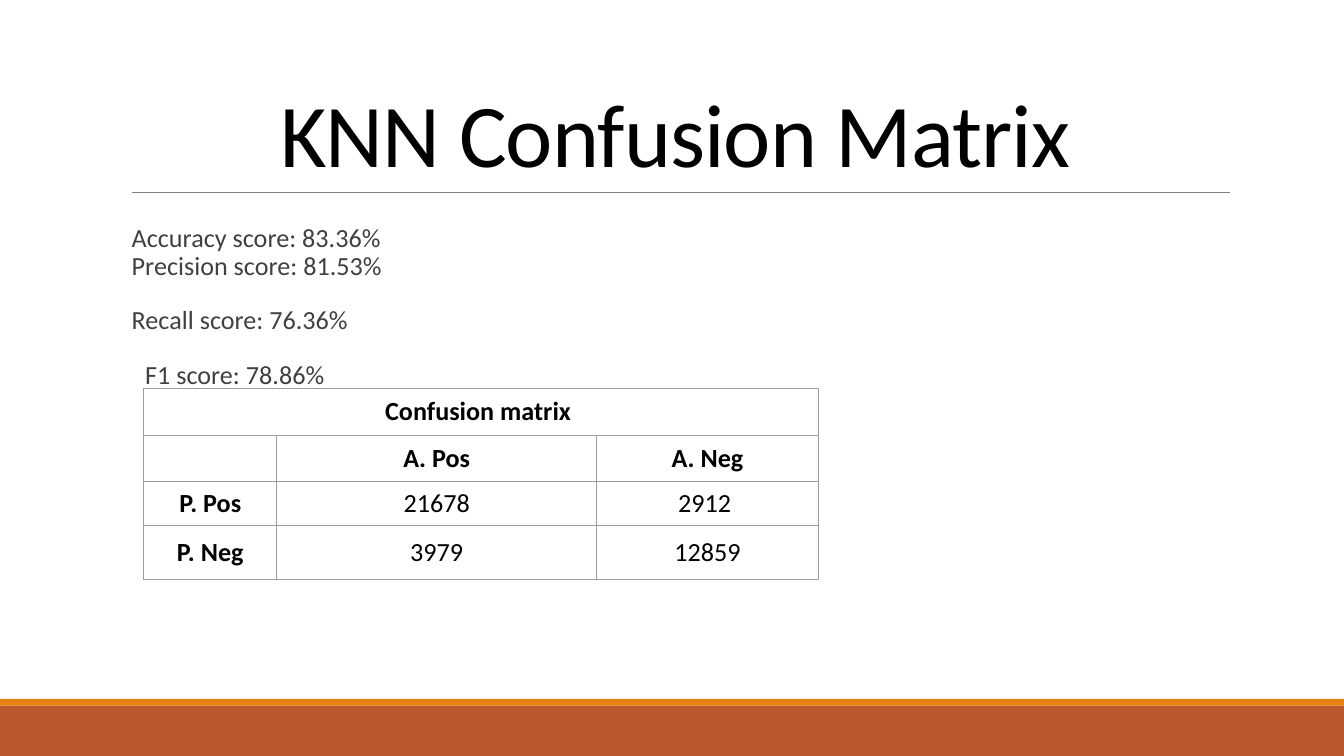
from lxml import etree
from pptx import Presentation
from pptx.dml.color import RGBColor
from pptx.enum.shapes import MSO_CONNECTOR, MSO_SHAPE
from pptx.enum.text import MSO_ANCHOR, MSO_AUTO_SIZE, PP_ALIGN
from pptx.oxml.ns import qn
from pptx.util import Inches, Pt

RECT = MSO_SHAPE.RECTANGLE
LINE = MSO_CONNECTOR.STRAIGHT
CENTER, LEFT = PP_ALIGN.CENTER, PP_ALIGN.LEFT
TOP, MIDDLE, BOTTOM = MSO_ANCHOR.TOP, MSO_ANCHOR.MIDDLE, MSO_ANCHOR.BOTTOM
NO_FIT = MSO_AUTO_SIZE.NONE

RUST = RGBColor(0xBD, 0x58, 0x2C)
ORANGE = RGBColor(0xE4, 0x83, 0x12)
GRAY = RGBColor(0x80, 0x80, 0x80)
DARK = RGBColor(0x40, 0x40, 0x40)
BLACK = RGBColor(0, 0, 0)
BORDER = RGBColor(0x9E, 0x9E, 0x9E)

FONT = "Calibri"
SCORES = [
    ("Accuracy score: 83.36%\vPrecision score: 81.53%", 0),
    ("Recall score: 76.36%", 0),
    ("F1 score: 78.86%", 0.1),
]
MATRIX = [
    ["Confusion matrix ", "", ""],
    ["", "A. Pos", "A. Neg"],
    ["P. Pos", "21678", "2912 "],
    ["P. Neg", "3979", "12859"],
]
COLS = [0.99, 2.38, 1.65]
ROWS = [0.35, 0.34, 0.33, 0.4]


def place(shape, box):
    shape.left, shape.top, shape.width, shape.height = map(Inches, box)


def style(para, size, color, bold=False):
    for run in para.runs:
        font = run.font
        font.name, font.size, font.bold = FONT, Pt(size), bold
        font.color.rgb = color


def add_band(slide, box, color):
    band = slide.shapes.add_shape(RECT, *map(Inches, box))
    band.shadow.inherit = False
    band.fill.solid()
    band.fill.fore_color.rgb = color
    band.line.fill.background()


def add_footer(slide, box):
    left, top, width, height = box
    strip = 0.05
    add_band(slide, (left, top + strip, width, height - strip), RUST)
    add_band(slide, (left, top, width, strip), ORANGE)


def add_rule(slide, left, top, width):
    ends = map(Inches, (left, top, left + width, top))
    rule = slide.shapes.add_connector(LINE, *ends)
    rule.line.color.rgb = GRAY
    rule.line.width = Pt(0.5)
    etree.SubElement(rule._element.spPr, qn("a:effectLst"))


def add_title(slide, box):
    title = slide.shapes.title
    place(title, box)
    frame = title.text_frame
    frame.text = "KNN Confusion Matrix"
    frame.auto_size = NO_FIT
    frame.vertical_anchor = BOTTOM
    para = frame.paragraphs[0]
    para.alignment = CENTER
    para.line_spacing = 0.85
    style(para, 48, BLACK)
    para.runs[0].font._element.set("spc", "-50")


def add_scores(slide, box):
    body = slide.placeholders[1]
    place(body, box)
    frame = body.text_frame
    frame.text = "\n".join(text for text, _ in SCORES)
    frame.auto_size = NO_FIT
    frame.vertical_anchor = TOP
    frame.margin_left = frame.margin_right = 0
    for i, (para, (_, indent)) in enumerate(zip(frame.paragraphs, SCORES)):
        para.alignment = LEFT
        para.line_spacing = 0.9
        para.space_before = Pt(12 if i else 0)
        para.space_after = Pt(2)
        props = para._p.get_or_add_pPr()
        props.set("marL", str(Inches(indent)))
        props.set("indent", "0")
        etree.SubElement(props, qn("a:buNone"))
        style(para, 14, DARK)


def add_border(cell):
    props = cell._tc.get_or_add_tcPr()
    for i, side in enumerate(("lnL", "lnR", "lnT", "lnB")):
        line = etree.Element(qn("a:" + side), w=str(Pt(0.75)))
        fill = etree.SubElement(line, qn("a:solidFill"))
        etree.SubElement(fill, qn("a:srgbClr"), val=str(BORDER))
        props.insert(i, line)


def add_matrix(slide, left, top):
    box = (left, top, sum(COLS), sum(ROWS))
    frame = slide.shapes.add_table(len(ROWS), len(COLS), *map(Inches, box))
    table = frame.table
    for col, width in zip(table.columns, COLS):
        col.width = Inches(width)
    for row, height in zip(table.rows, ROWS):
        row.height = Inches(height)
    for r, row in enumerate(MATRIX):
        for c, text in enumerate(row):
            cell = table.cell(r, c)
            cell.text = text
            cell.vertical_anchor = MIDDLE
            cell.margin_top = cell.margin_bottom = Inches(0.04)
            cell.fill.background()
            add_border(cell)
            para = cell.text_frame.paragraphs[0]
            para.alignment = CENTER
            para.font.size = Pt(14)
            style(para, 14, BLACK, r < 2 or c == 0)
    table.cell(0, 0).merge(table.cell(0, len(COLS) - 1))


def main():
    deck = Presentation()
    deck.slide_width = Inches(10)
    deck.slide_height = deck.slide_width * 9 // 16
    slide = deck.slides.add_slide(deck.slide_layouts[1])
    add_footer(slide, (0, 5.2, 10, 0.43))
    add_rule(slide, 0.98, 1.43, 8.17)
    add_title(slide, (0.9, 0.24, 8.25, 1.19))
    add_scores(slide, (0.98, 1.62, 8.25, 1.26))
    add_matrix(slide, 1.07, 2.89)
    deck.save("out.pptx")


if __name__ == "__main__":
    main()
